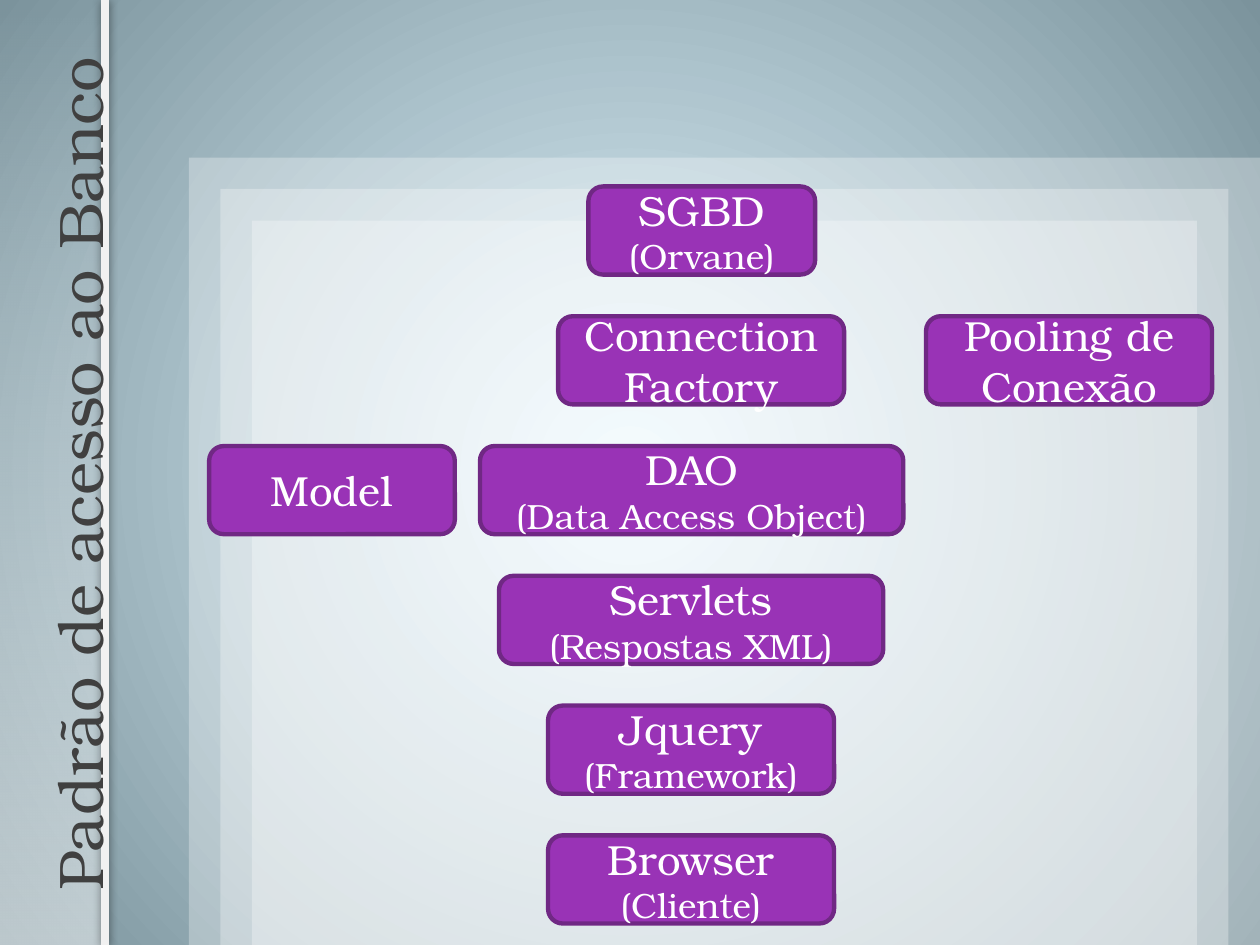
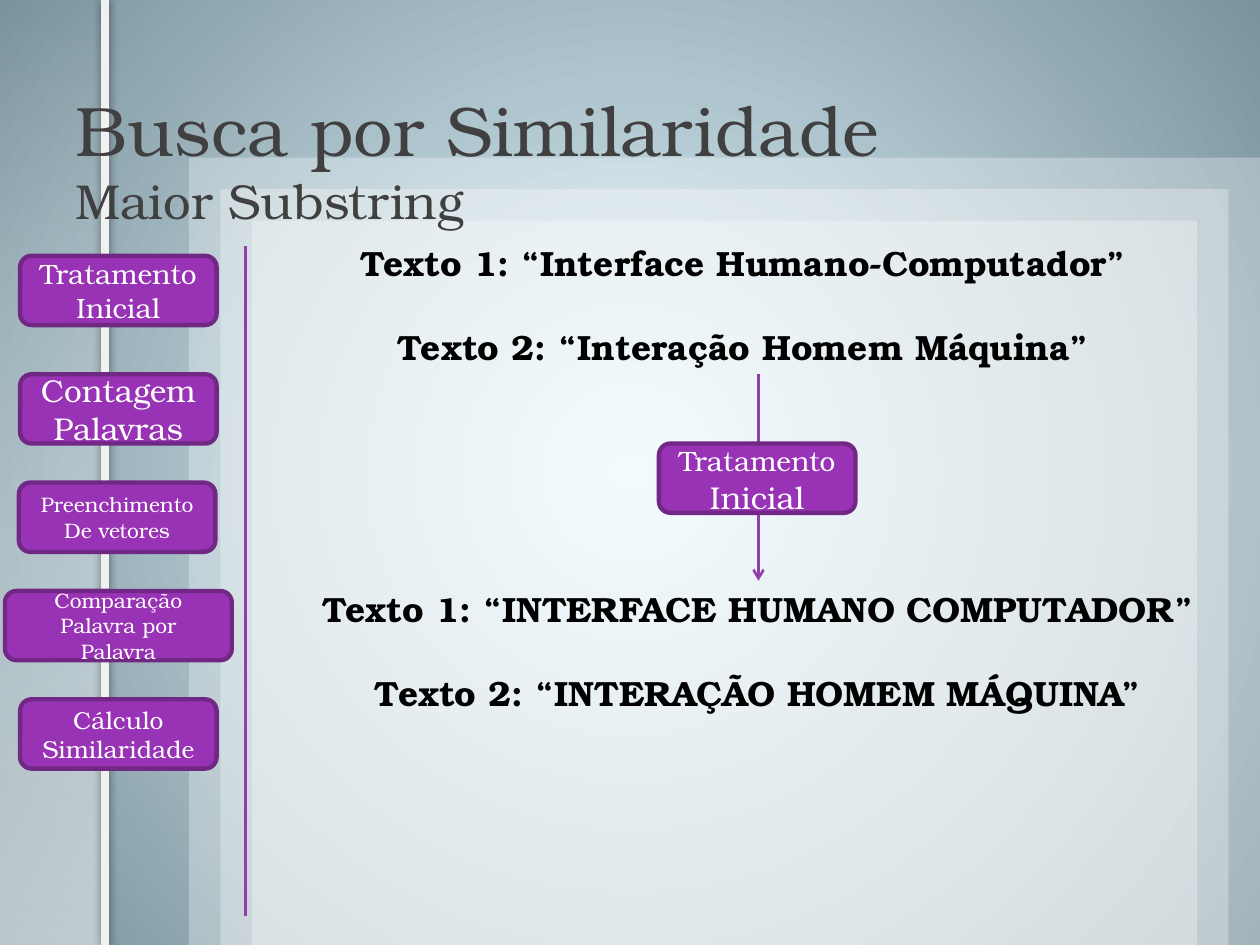
from dataclasses import dataclass

from lxml.etree import SubElement
from pptx import Presentation
from pptx.dml.color import RGBColor
from pptx.enum.shapes import MSO_CONNECTOR as Connector, MSO_SHAPE as Preset
from pptx.enum.text import MSO_ANCHOR as Anchor, MSO_AUTO_SIZE as AutoSize, PP_ALIGN as Align
from pptx.oxml.ns import qn
from pptx.util import Inches, Pt

SLIDE_WIDTH, SLIDE_HEIGHT = Inches(10), Inches(7.5)
COLUMN, ROW = SLIDE_WIDTH / 100, SLIDE_HEIGHT / 75
TITLE_ONLY = 5
FONT = "TeX Gyre Bonum"
COLOURS = {
    "glow": "E1F6FF",
    "rim": "7B939C",
    "white": "FFFFFF",
    "edge": "F1F1F1",
    "title": "404040",
    "box": "9933B6",
    "outline": "702884",
    "connector": "953CAD",
    "text": "000000",
}


@dataclass(frozen=True)
class Area:
    """A rectangle in grid columns and rows."""
    left: float
    top: float
    width: float
    height: float

    def lengths(self) -> tuple[int, ...]:
        return (round(self.left * COLUMN), round(self.top * ROW),
                round(self.width * COLUMN), round(self.height * ROW))


@dataclass(frozen=True)
class Words:
    text: str
    size: float


Paragraphs = list[list[Words]]


@dataclass(frozen=True)
class Box:
    area: Area
    paragraphs: Paragraphs


@dataclass(frozen=True)
class Line:
    start: tuple[float, float]
    end: tuple[float, float]
    colour: str = "connector"
    width: float = 1.5


def rgb(name: str) -> RGBColor:
    return RGBColor.from_string(COLOURS[name])


def set_opacity(colour_element, percent: int) -> None:
    SubElement(colour_element, qn("a:alpha"), val=str(percent * 1000))


def set_gradient(fill, first: str, last: str) -> None:
    fill.gradient()
    for stop, name in zip(fill.gradient_stops, (first, last)):
        stop.color.rgb = rgb(name)


def style_paragraph(paragraph, colour: str, align: Align, bold: bool = False) -> None:
    paragraph.alignment = align
    paragraph.font.name = FONT
    paragraph.font.bold = bold
    paragraph.font.color.rgb = rgb(colour)


def add_words(paragraph, words: list[Words]) -> None:
    for part in words:
        run = paragraph.add_run()
        run.text = part.text
        if len(words) > 1:
            run.font.size = Pt(part.size)
    if len(words) == 1:
        paragraph.font.size = Pt(words[0].size)


def write_paragraphs(frame, paragraphs: Paragraphs, colour: str, bold: bool = False) -> None:
    for index, words in enumerate(paragraphs):
        paragraph = frame.add_paragraph() if index else frame.paragraphs[0]
        style_paragraph(paragraph, colour, Align.CENTER, bold)
        add_words(paragraph, words)


def add_line(slide, line: Line):
    """Draw a straight line and return it with an empty effect list."""
    (x1, y1), (x2, y2) = line.start, line.end
    shape = slide.shapes.add_connector(
        Connector.STRAIGHT, round(x1 * COLUMN), round(y1 * ROW),
        round(x2 * COLUMN), round(y2 * ROW))
    shape.line.color.rgb = rgb(line.colour)
    shape.line.width = Pt(line.width)
    effects = SubElement(shape.element.spPr, qn("a:effectLst"))
    return shape, effects


def add_arrow(slide, line: Line) -> None:
    shape, _ = add_line(slide, line)
    SubElement(shape.element.spPr.find(qn("a:ln")), qn("a:tailEnd"), type="arrow")


def add_panel(slide, area: Area):
    panel = slide.shapes.add_shape(Preset.RECTANGLE, *area.lengths())
    panel.shadow.inherit = False
    panel.line.fill.background()
    return panel


def paint_background(slide) -> None:
    set_gradient(slide.background.fill, "glow", "rim")
    gradient = slide.element.find(".//" + qn("a:gradFill"))
    gradient.remove(gradient.find(qn("a:lin")))
    path = SubElement(gradient, qn("a:path"), {"path": "circle"})
    SubElement(path, qn("a:fillToRect"), dict.fromkeys("ltrb", "50000"))


def add_backdrop(slide) -> None:
    """Draw the nested panels, the side band and its edge."""
    paint_background(slide)
    for step, width in enumerate((85, 80, 75)):
        top = 12.5 + 2.5 * step
        panel = add_panel(slide, Area(15 + 2.5 * step, top, width, 75 - top))
        panel.fill.solid()
        panel.fill.fore_color.rgb = rgb("white")
        set_opacity(panel.element.spPr.find(".//" + qn("a:srgbClr")), 30)

    band = add_panel(slide, Area(0, 0, 8.5, 75))
    set_gradient(band.fill, "white", "white")
    band.fill.gradient_angle = 90
    stops = band.element.spPr.findall(".//" + qn("a:srgbClr"))
    for colour, opacity in zip(stops, (50, 0)):
        set_opacity(colour, opacity)

    _, effects = add_line(slide, Line((8.3, 0), (8.3, 75), "edge", 4.5))
    shadow = SubElement(effects, qn("a:outerShdw"), blurRad=str(Pt(5)), dist="0", dir="0")
    set_opacity(SubElement(shadow, qn("a:srgbClr"), val=COLOURS["text"]), 40)


def add_title(slide, area: Area, lines: list[Words], rotation: float = 0) -> None:
    title = slide.shapes.title
    title.element.getparent().append(title.element)
    title.left, title.top, title.width, title.height = area.lengths()
    title.rotation = rotation
    frame = title.text_frame
    frame.word_wrap = True
    frame.auto_size = AutoSize.NONE
    frame.vertical_anchor = Anchor.BOTTOM
    paragraph = frame.paragraphs[0]
    style_paragraph(paragraph, "title", Align.LEFT)
    for index, line in enumerate(lines):
        if index:
            paragraph.add_line_break()
        run = paragraph.add_run()
        run.text = line.text
        run.font.size = Pt(line.size)


def add_box(slide, box: Box) -> None:
    shape = slide.shapes.add_shape(Preset.ROUNDED_RECTANGLE, *box.area.lengths())
    shape.shadow.inherit = False
    shape.fill.solid()
    shape.fill.fore_color.rgb = rgb("box")
    shape.line.color.rgb = rgb("outline")
    shape.line.width = Pt(2.5)
    shape.text_frame.vertical_anchor = Anchor.MIDDLE
    write_paragraphs(shape.text_frame, box.paragraphs, "white")


def add_text_pair(slide, area: Area, first: str, second: str) -> None:
    """Write two bold lines, one line height apart."""
    frame = slide.shapes.add_textbox(*area.lengths()).text_frame
    frame.word_wrap = True
    frame.auto_size = AutoSize.SHAPE_TO_FIT_TEXT
    write_paragraphs(frame, [[Words(first, 20)], [Words(second, 20)]], "text", bold=True)
    frame.paragraphs[1].space_before = Pt(24)


def layer(level: int, left: float, width: float, *paragraphs: list[Words]) -> Box:
    return Box(Area(left, 14.8 + 10.3 * level, width, 7), list(paragraphs))


def step(left: float, top: float, *paragraphs: list[Words], width: float = 15.6) -> Box:
    return Box(Area(left, top, width, 5.5), list(paragraphs))


def start_slide(presentation):
    slide = presentation.slides.add_slide(presentation.slide_layouts[TITLE_ONLY])
    add_backdrop(slide)
    return slide


def build_access_pattern(presentation) -> None:
    slide = start_slide(presentation)
    add_title(slide, Area(-29.1, 32.9, 68.3, 9.3),
              [Words("Padrão de acesso ao Banco", 36)], rotation=270)
    layers = [
        layer(5, 43.5, 22.7, [Words("Browser ", 24), Words("(Cliente)", 20)]),
        layer(4, 43.5, 22.7, [Words("Jquery ", 24), Words("(Framework)", 20)]),
        layer(2, 38.1, 33.6, [Words("DAO", 24)], [Words("(Data Access Object)", 20)]),
        layer(1, 44.3, 22.7, [Words("Connection Factory", 24)]),
        layer(1, 73.5, 22.7, [Words("Pooling de Conexão", 24)]),
        layer(3, 39.6, 30.5, [Words("Servlets", 24)], [Words("(Respostas XML)", 20)]),
        layer(0, 46.7, 18, [Words("SGBD ", 24), Words("(Orvane)", 20)]),
        layer(2, 16.6, 19.5, [Words("Model", 24)]),
    ]
    for box in layers:
        add_box(slide, box)


def build_similarity_search(presentation) -> None:
    slide = start_slide(presentation)
    add_title(slide, Area(5, 3, 90, 15.7),
              [Words("Busca por Similaridade", 40), Words("Maior Substring", 28)])
    add_text_pair(slide, Area(22.3, 18.7, 73.4, 11.1),
                  "Texto 1: “Interface Humano-Computador”",
                  "Texto 2: “Interação Homem Máquina”")
    add_text_pair(slide, Area(20.3, 46.1, 79.7, 11.1),
                  "Texto 1: “INTERFACE HUMANO COMPUTADOR”",
                  "Texto 2: “INTERAÇÃO HOMEM MÁQUINA”")
    add_line(slide, Line((19.5, 19.5), (19.5, 72.7)))
    add_arrow(slide, Line((60.2, 29.7), (60.2, 46.1)))
    count_top, pitch = 29.7, 8.6
    steps = [
        step(1.6, 20.3, [Words("Tratamento Inicial", 16)]),
        step(1.6, count_top, [Words("Contagem", 18)], [Words("Palavras", 18)]),
        step(1.5, count_top + pitch, [Words("Preenchimento", 12)], [Words("De vetores", 12)]),
        step(0.4, count_top + 2 * pitch,
             [Words("Comparação Palavra por Palavra", 12)], width=18),
        step(1.6, count_top + 3 * pitch, [Words("Cálculo Similaridade", 14)]),
        step(52.3, 35.2, [Words("Tratamento", 16), Words(" Inicial", 18)]),
    ]
    for box in steps:
        add_box(slide, box)


def main() -> None:
    presentation = Presentation()
    presentation.slide_width, presentation.slide_height = SLIDE_WIDTH, SLIDE_HEIGHT
    build_access_pattern(presentation)
    build_similarity_search(presentation)
    presentation.save("out.pptx")


if __name__ == "__main__":
    main()
